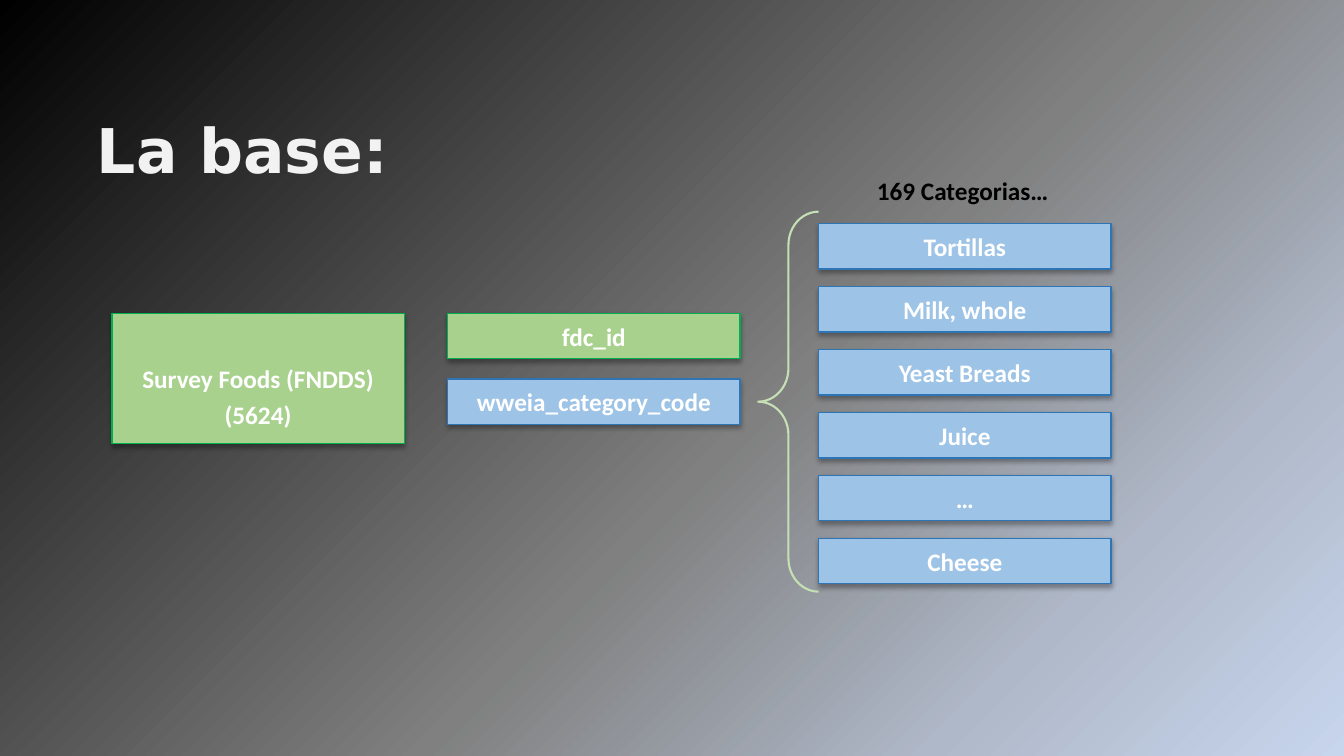
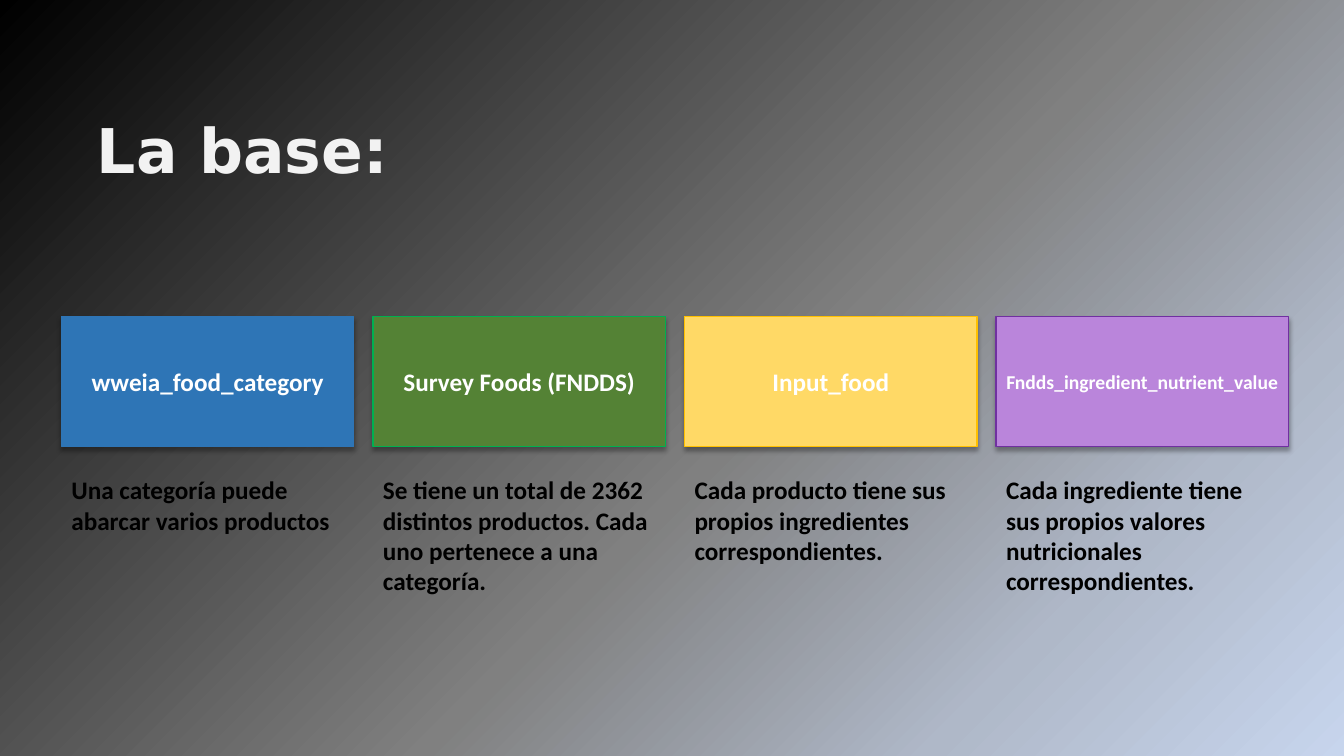
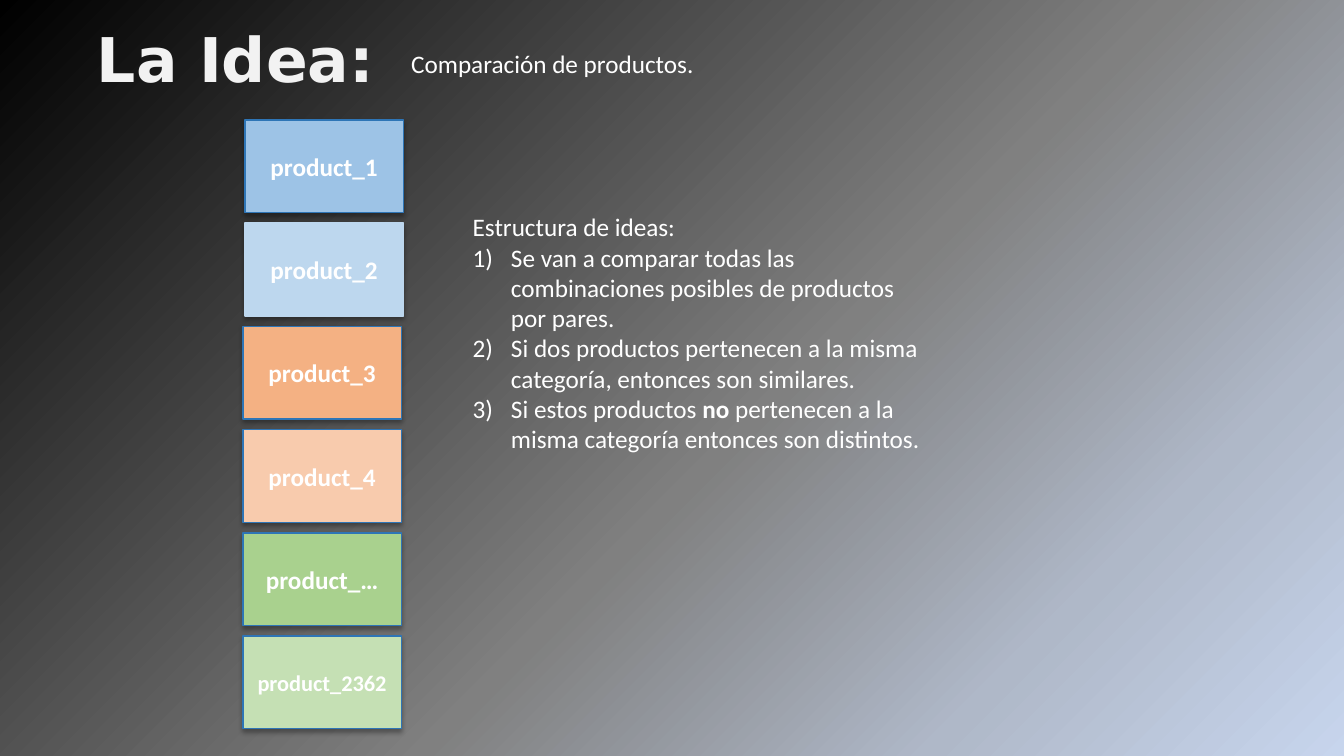
from lxml.etree import SubElement
from pptx import Presentation
from pptx.dml.color import RGBColor
from pptx.enum.shapes import MSO_SHAPE
from pptx.enum.text import MSO_ANCHOR, MSO_AUTO_SIZE, PP_ALIGN
from pptx.oxml.ns import qn
from pptx.util import Inches, Pt

BLACK = RGBColor(0x00, 0x00, 0x00)
WHITE = RGBColor(0xFF, 0xFF, 0xFF)
OFF_WHITE = RGBColor(0xF2, 0xF2, 0xF2)
BLUE = RGBColor(0x2E, 0x75, 0xB6)
LIGHT_BLUE = RGBColor(0x9D, 0xC3, 0xE6)
PALE_BLUE = RGBColor(0xBD, 0xD7, 0xEE)
GREEN = RGBColor(0x00, 0xB0, 0x50)
DARK_GREEN = RGBColor(0x54, 0x82, 0x35)
LIGHT_GREEN = RGBColor(0xA9, 0xD1, 0x8E)
PALE_GREEN = RGBColor(0xC5, 0xE0, 0xB4)
ORANGE = RGBColor(0xF4, 0xB1, 0x83)
PALE_ORANGE = RGBColor(0xF8, 0xCB, 0xAD)
GOLD = RGBColor(0xFF, 0xC0, 0x00)
YELLOW = RGBColor(0xFF, 0xD9, 0x66)
PURPLE = RGBColor(0x70, 0x30, 0xA0)
LILAC = RGBColor(0xBA, 0x85, 0xDB)
BACKDROP = [(0, BLACK), (56, RGBColor(0x80, 0x80, 0x80)),
            (80, RGBColor(0xAF, 0xB8, 0xC8)), (100, RGBColor(0xC7, 0xD5, 0xED))]

TITLE = dict(name="DejaVu Sans", size=Pt(44), bold=True)
BODY = dict(name="Calibri", size=Pt(18), bold=False)
STRONG = BODY | dict(bold=True)

BOX_W, BOX_H, ROW_H = 2.9, 1.29, 0.45
INDENT = Inches(0.38)


def paint_background(master):
    fill = master.background.fill
    fill.gradient()
    bg = master.element.find(".//" + qn("p:bg"))
    stops = bg.find(".//" + qn("a:gsLst"))
    for stop in list(stops):
        stops.remove(stop)
    for percent, color in BACKDROP:
        stop = SubElement(stops, qn("a:gs"), pos=str(percent * 1000))
        SubElement(stop, qn("a:srgbClr"), val=str(color))
    fill.gradient_angle = 315


def add_run(p, text, color, font):
    r = p.add_run()
    r.text = text
    for key, value in font.items():
        setattr(r.font, key, value)
    r.font.color.rgb = color


def fit(tf):
    tf.word_wrap = True
    tf.auto_size = MSO_AUTO_SIZE.SHAPE_TO_FIT_TEXT


def add_title_slide(prs, title, top):
    s = prs.slides.add_slide(prs.slide_layouts[5])
    sp = s.shapes.title
    sp.left, sp.top, sp.width, sp.height = map(Inches, (0.86, top, 5.81, 0.84))
    tf = sp.text_frame
    fit(tf)
    tf.vertical_anchor = MSO_ANCHOR.TOP
    p = tf.paragraphs[0]
    p.alignment = PP_ALIGN.LEFT
    add_run(p, title, OFF_WHITE, TITLE)
    return s


def add_text(s, box, text, color, font=STRONG, align=PP_ALIGN.LEFT):
    tf = s.shapes.add_textbox(*map(Inches, box)).text_frame
    fit(tf)
    p = tf.paragraphs[0]
    p.alignment = align
    add_run(p, text, color, font)
    return tf


def add_box(s, box, text, fill, line, size=18):
    """Shadowed rectangle with a bold white centred label."""
    sp = s.shapes.add_shape(MSO_SHAPE.RECTANGLE, *map(Inches, box))
    sp.fill.solid()
    sp.fill.fore_color.rgb = fill
    sp.line.color.rgb = line
    sp.line.width = Pt(1)
    sp.shadow.inherit = False
    effects = sp.element.spPr.find(qn("a:effectLst"))
    shadow = SubElement(effects, qn("a:outerShdw"), blurRad=str(Pt(3.5)),
                        dist=str(Pt(2.2)), dir="5400000", rotWithShape="0")
    color = SubElement(shadow, qn("a:srgbClr"), val=str(BLACK))
    SubElement(color, qn("a:alpha"), val="32000")
    tf = sp.text_frame
    tf.word_wrap = True
    tf.vertical_anchor = MSO_ANCHOR.MIDDLE
    p = tf.paragraphs[0]
    p.alignment = PP_ALIGN.CENTER
    add_run(p, text, WHITE, STRONG | dict(size=Pt(size)))


def add_survey(s, left, top):
    """Survey table with its row count, and its two key fields beside it."""
    add_box(s, (left, top, BOX_W, BOX_H), "Survey Foods (FNDDS)", LIGHT_GREEN, GREEN)
    add_text(s, (left + 0.35, top + 0.8, BOX_W - 0.7, 0.4), "(5624)", WHITE,
             align=PP_ALIGN.CENTER)
    fields = [("fdc_id", LIGHT_GREEN, GREEN), ("wweia_category_code", LIGHT_BLUE, BLUE)]
    for i, field in enumerate(fields):
        add_box(s, (left + 3.33, top + 0.65 * i, BOX_W, ROW_H), *field)


def add_categories(s, left, top):
    """Brace, heading and the column of category boxes."""
    brace = s.shapes.add_shape(MSO_SHAPE.LEFT_BRACE,
                               *map(Inches, (left, top, 0.6, 3.77)))
    brace.adjustments[0] = 0.55
    brace.fill.background()
    brace.line.color.rgb = PALE_GREEN
    brace.line.width = Pt(1.5)
    brace.shadow.inherit = False
    add_text(s, (left + 1.08, top - 0.41, 1.94, 0.4), "169 Categorias…", BLACK)
    names = ["Tortillas", "Milk, whole", "Yeast Breads", "Juice", "…", "Cheese"]
    pitch = 3.12 / (len(names) - 1)
    for i, name in enumerate(names):
        add_box(s, (left + 0.6, top + 0.12 + pitch * i, BOX_W, ROW_H),
                name, LIGHT_BLUE, BLUE)


def add_tables(s, left, top):
    """Row of data tables, each with a note beneath."""
    tables = [
        ("wweia_food_category", BLUE, BLUE, 18, 0.71,
         "Una categoría puede abarcar varios productos"),
        ("Survey Foods (FNDDS)", DARK_GREEN, GREEN, 18, 1.31,
         "Se tiene un total de 2362 distintos productos. "
         "Cada uno pertenece a una categoría."),
        ("Input_food", YELLOW, GOLD, 18, 1.01,
         "Cada producto tiene sus propios ingredientes correspondientes."),
        ("Fndds_ingredient_nutrient_value", LILAC, PURPLE, 14, 1.31,
         "Cada ingrediente tiene sus propios valores nutricionales correspondientes."),
    ]
    for i, (name, fill, line, size, note_h, note) in enumerate(tables):
        x = left + 3.09 * i
        add_box(s, (x, top, BOX_W, BOX_H), name, fill, line, size)
        add_text(s, (x, top + 1.52, BOX_W, note_h), note, BLACK)


def add_products(s, left, top):
    products = [
        ("product_1", LIGHT_BLUE, BLUE), ("product_2", PALE_BLUE, PALE_BLUE),
        ("product_3", ORANGE, BLUE), ("product_4", PALE_ORANGE, BLUE),
        ("product_…", LIGHT_GREEN, BLUE), ("product_2362", PALE_GREEN, BLUE, 16),
    ]
    pitch = 5.12 / (len(products) - 1)
    for i, product in enumerate(products):
        x = left + (0.02 if i < 2 else 0)
        add_box(s, (x, top + pitch * i, 1.57, 0.92), *product)


def add_ideas(s, box):
    """Heading and numbered list; the odd pieces of an item are bold."""
    ideas = [
        ["Se van a comparar todas las combinaciones posibles de productos por pares."],
        ["Si dos productos pertenecen a la misma categoría, entonces son similares."],
        ["Si estos productos ", "no",
         " pertenecen a la misma categoría entonces son distintos."],
    ]
    tf = add_text(s, box, "Estructura de ideas:", WHITE, BODY)
    for pieces in ideas:
        p = tf.add_paragraph()
        pPr = p._p.get_or_add_pPr()
        pPr.set("marL", str(INDENT))
        pPr.set("indent", str(-INDENT))
        SubElement(pPr, qn("a:buAutoNum"), type="arabicParenR")
        for i, piece in enumerate(pieces):
            add_run(p, piece, WHITE, STRONG if i % 2 else BODY)


def main():
    prs = Presentation()
    prs.slide_width, prs.slide_height = Inches(13.33), Inches(7.5)
    paint_background(prs.slide_master)

    s = add_title_slide(prs, "La base:", 1.06)
    add_survey(s, 1.11, 3.11)
    add_categories(s, 7.52, 2.1)

    s = add_title_slide(prs, "La base:", 1.06)
    add_tables(s, 0.61, 3.14)

    s = add_title_slide(prs, "La Idea:", 0.16)
    add_text(s, (3.98, 0.43, 8.59, 0.4), "Comparación de productos.", WHITE, BODY)
    add_products(s, 2.41, 1.19)
    add_ideas(s, (4.59, 2.05, 4.67, 2.52))

    prs.save("out.pptx")


if __name__ == "__main__":
    main()
